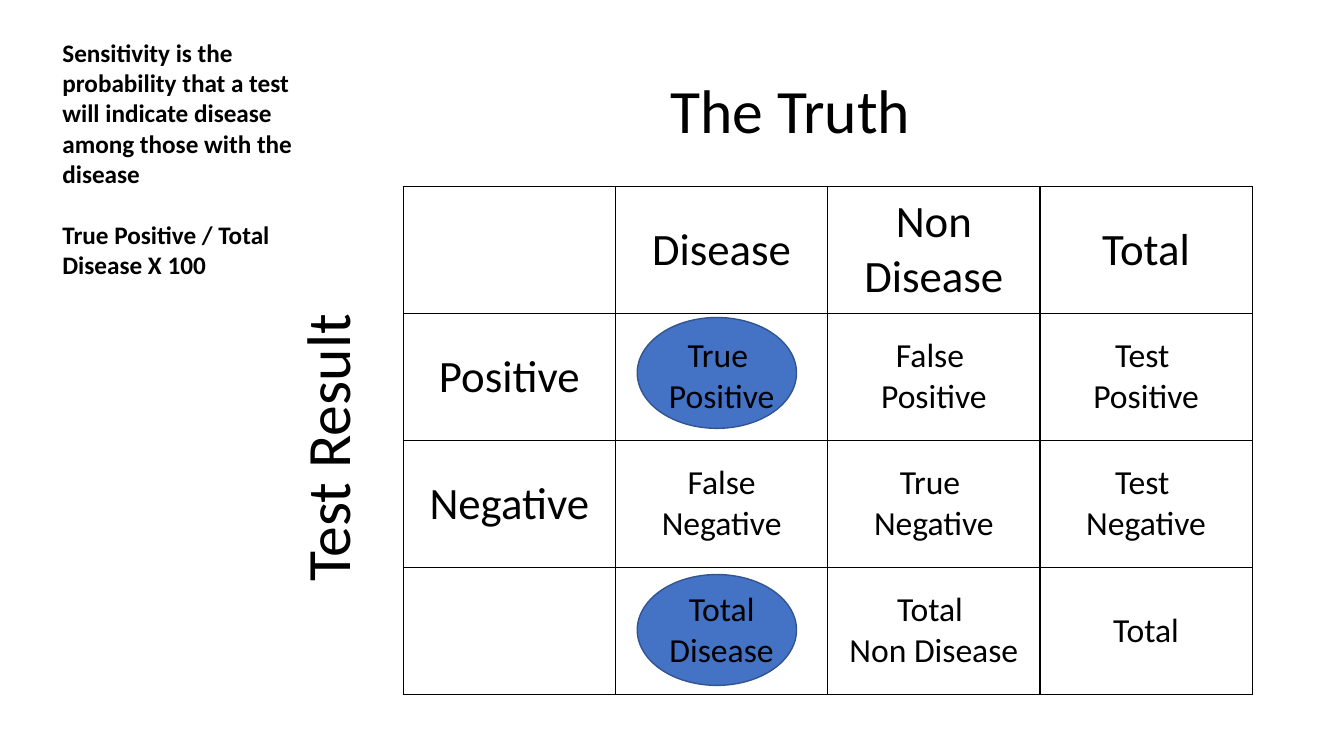
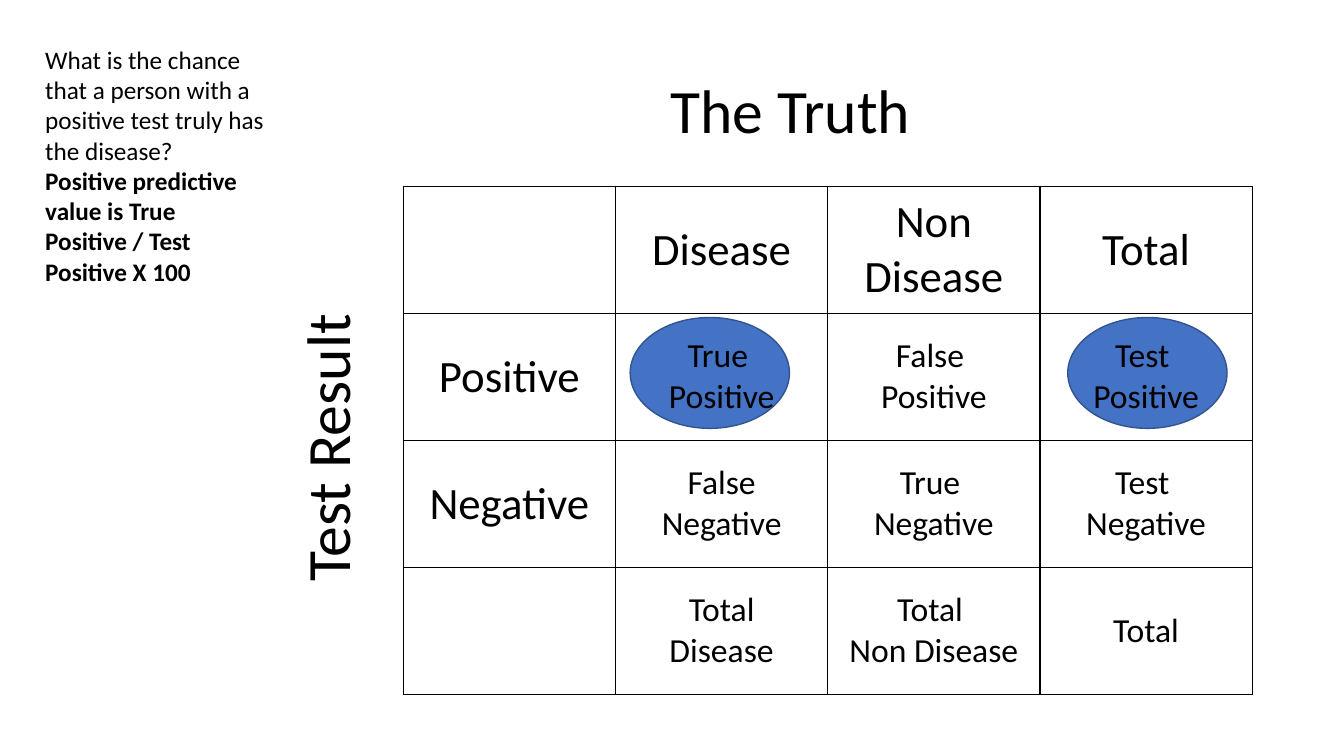
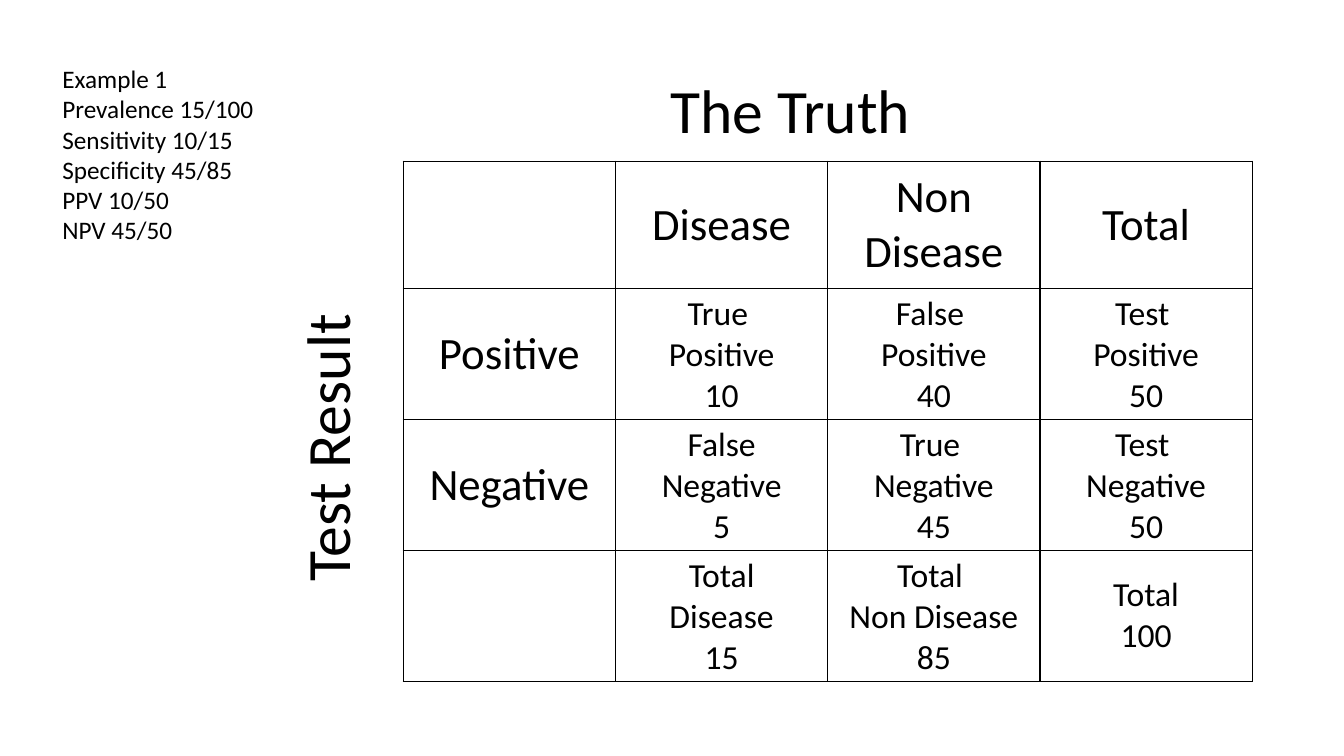
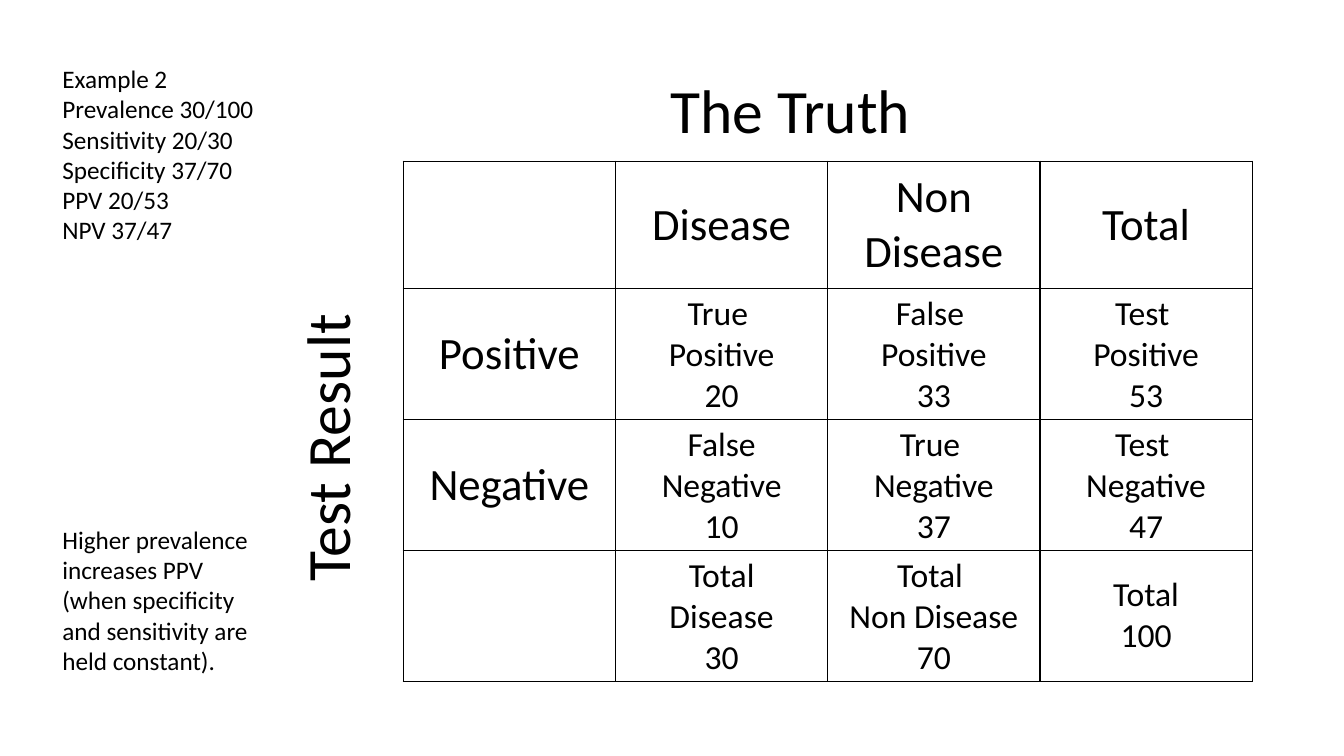
"""Build four slides on sensitivity, predictive value and prevalence."""
from dataclasses import dataclass

from lxml.etree import SubElement
from pptx import Presentation
from pptx.dml.color import RGBColor
from pptx.enum.shapes import MSO_SHAPE
from pptx.enum.text import MSO_ANCHOR, MSO_AUTO_SIZE, PP_ALIGN
from pptx.oxml.ns import qn
from pptx.util import Inches, Pt


@dataclass(frozen=True)
class Theme:
    font: str = "Calibri"
    text: str = "000000"
    highlight: str = "4472C4"
    highlight_line: str = "325491"
    title_size: int = 44
    header_size: int = 32
    cell_size: int = 24
    note_size: int = 18


theme = Theme()


def write(frame, text, size, bold=False, align=PP_ALIGN.LEFT, spacing=1.0, before=0):
    first = frame.paragraphs[0]
    paragraph = frame.add_paragraph() if first.runs else first
    paragraph.alignment = align
    paragraph.line_spacing = spacing
    paragraph.space_before = Pt(before)
    run = paragraph.add_run()
    run.text = text
    run.font.name = theme.font
    run.font.size = Pt(size)
    run.font.bold = bold
    run.font.color.rgb = RGBColor.from_string(theme.text)


def add_text_box(slide, left, top, width, height, wrap=True):
    box = slide.shapes.add_textbox(Inches(left), Inches(top), Inches(width), Inches(height))
    box.text_frame.word_wrap = wrap
    return box


labels = [
    [[], ["Disease"], ["Non Disease"], ["Total"]],
    [["Positive"], ["True ", "Positive"], ["False ", "Positive"], ["Test ", "Positive"]],
    [["Negative"], ["False Negative"], ["True ", "Negative"], ["Test ", "Negative"]],
    [[], ["Total", "Disease"], ["Total ", "Non Disease"], ["Total"]],
]
example_box = (0.52, 0.58, 2.12, 2.22, False)
slides = [
    {
        "ellipses": [(6.32, 5.7), (6.32, 3.15)],
        "notes": [((0.52, 0.32, 2.75, 2.52), [
            {"text": "Sensitivity is the probability that a test will indicate disease "
                     "among those with the disease", "bold": True},
            {"text": "True Positive / Total Disease X 100", "bold": True, "before": 22},
        ])],
    },
    {
        "ellipses": [(10.59, 3.15), (6.25, 3.15)],
        "notes": [((0.35, 0.39, 2.48, 2.22), [
            {"text": "What is the chance that a person with a positive test truly has the disease?"},
            {"text": "Positive predictive value is True Positive / Test Positive X 100", "bold": True},
        ])],
    },
    {
        "counts": [[10, 40, 50], [5, 45, 50], [15, 85, 100]],
        "notes": [(example_box, [{"text": line} for line in (
            "Example 1", "Prevalence 15/100", "Sensitivity 10/15",
            "Specificity 45/85", "PPV 10/50", "NPV 45/50")])],
    },
    {
        "counts": [[20, 33, 53], [10, 37, 47], [30, 70, 100]],
        "notes": [
            (example_box, [{"text": line} for line in (
                "Example 2", "Prevalence 30/100", "Sensitivity 20/30",
                "Specificity 37/70", "PPV 20/53", "NPV 37/47")]),
            ((0.52, 5.15, 2.12, 1.62), [
                {"text": "Higher prevalence increases PPV (when specificity and sensitivity "
                         "are held constant)."},
            ]),
        ],
    },
]

presentation = Presentation()
presentation.slide_width = Inches(13.33)
presentation.slide_height = Inches(7.5)

for content in slides:
    slide = presentation.slides.add_slide(presentation.slide_layouts[6])
    counts = content.get("counts")

    for left, top in content.get("ellipses", []):
        ellipse = slide.shapes.add_shape(
            MSO_SHAPE.OVAL, Inches(left), Inches(top), Inches(1.58), Inches(1.1))
        ellipse.shadow.inherit = False
        ellipse.fill.solid()
        ellipse.fill.fore_color.rgb = RGBColor.from_string(theme.highlight)
        ellipse.line.color.rgb = RGBColor.from_string(theme.highlight_line)
        ellipse.line.width = Pt(1)

    for text, left, top, rotation in (("The Truth", 6.55, 0.4, 0), ("Test Result", 0.34, 2.21, 270)):
        heading = add_text_box(slide, left, top, 5.87, 1.45)
        heading.rotation = rotation
        heading.text_frame.vertical_anchor = MSO_ANCHOR.MIDDLE
        write(heading.text_frame, text, theme.title_size, spacing=0.9)

    table_top = 1.6 if counts else 1.85
    table = slide.shapes.add_table(
        4, 4, Inches(4), Inches(table_top), Inches(8.42), Inches(5.04)).table
    table.first_row = False
    table.horz_banding = False
    for row_index, row_labels in enumerate(labels):
        table.rows[row_index].height = Inches(1.26)
        for column_index, lines in enumerate(row_labels):
            table.columns[column_index].width = Inches(8.42 / 4)
            cell = table.cell(row_index, column_index)
            cell.vertical_anchor = MSO_ANCHOR.MIDDLE
            properties = cell._tc.get_or_add_tcPr()
            for side in ("a:lnL", "a:lnR", "a:lnT", "a:lnB"):
                border = SubElement(properties, qn(side), w=str(Pt(1)))
                SubElement(SubElement(border, qn("a:solidFill")), qn("a:srgbClr"), val=theme.text)
            cell.fill.background()
            is_header = row_index == 0 or column_index == 0
            size = theme.header_size if is_header else theme.cell_size
            if counts and not is_header:
                lines = lines + [str(counts[row_index - 1][column_index - 1])]
            for line in lines:
                write(cell.text_frame, line, size, align=PP_ALIGN.CENTER)

    for position, paragraphs in content["notes"]:
        note = add_text_box(slide, *position)
        note.text_frame.auto_size = MSO_AUTO_SIZE.SHAPE_TO_FIT_TEXT
        for paragraph in paragraphs:
            write(note.text_frame, size=theme.note_size, **paragraph)

presentation.save("out.pptx")
